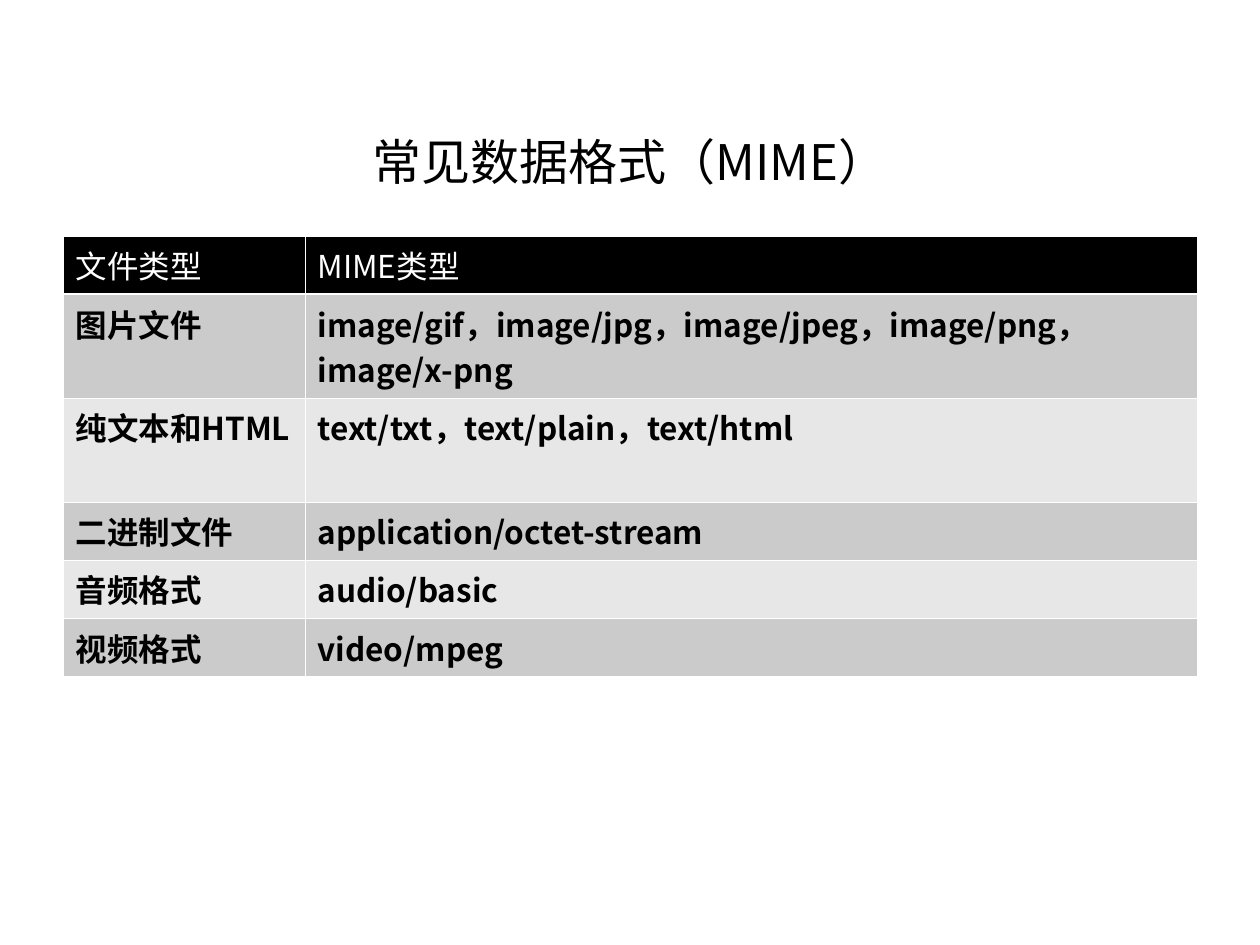
from lxml.etree import SubElement
from pptx import Presentation
from pptx.dml.color import RGBColor
from pptx.enum.text import MSO_ANCHOR, PP_ALIGN
from pptx.oxml import parse_xml
from pptx.oxml.ns import nsdecls, qn
from pptx.util import Emu, Pt

# Content
TITLE = "常见数据格式（MIME）"
ROWS = [
    ("文件类型", "MIME类型"),
    ("图片文件", "image/gif，image/jpg，image/jpeg，image/png，image/x-png"),
    ("纯文本和HTML", "text/txt，text/plain，text/html"),
    ("二进制文件", "application/octet-stream"),
    ("音频格式", "audio/basic"),
    ("视频格式", "video/mpeg"),
]

# Look
FONT = "Noto Sans CJK SC"
BLACK = RGBColor(0x00, 0x00, 0x00)
WHITE = RGBColor(0xFF, 0xFF, 0xFF)
DARK = RGBColor(0xCB, 0xCB, 0xCB)
LIGHT = RGBColor(0xE7, 0xE7, 0xE7)
THIN, THICK = 0.45, 1.47

# Layout in px
PX = 914400 // 126
LEFT, TOP = 63, 236
COLS = [242, 892]
HIGH = [58, 94, 58, 58, 58, 58]


def px(num):
    return Emu(num * PX)


def style(para, size, color, bold=False):
    for run in para.runs:
        font = run.font
        font.name, font.size, font.bold = FONT, Pt(size), bold
        font.color.rgb = color
        SubElement(font._element, qn("a:ea"), typeface=FONT)


def border(cell, row):
    """White lines on all sides, thicker below the header."""
    sides = {"L": THIN, "R": THIN,
             "T": THICK if row == 1 else THIN,
             "B": THICK if row == 0 else THIN}
    props = cell._tc.get_or_add_tcPr()
    for spot, (side, width) in enumerate(sides.items()):
        props.insert(spot, parse_xml(
            f'<a:ln{side} {nsdecls("a")} w="{Pt(width)}"><a:solidFill>'
            f'<a:srgbClr val="{WHITE}"/></a:solidFill></a:ln{side}>'))


deck = Presentation()
deck.slide_width, deck.slide_height = px(1260), px(945)
slide = deck.slides.add_slide(deck.slide_layouts[5])

# Title
title = slide.shapes.title
title.left, title.top, title.width, title.height = map(px, (63, 108, 1134, 106))
frame = title.text_frame
frame.text = TITLE
frame.vertical_anchor = MSO_ANCHOR.MIDDLE
frame.paragraphs[0].alignment = PP_ALIGN.CENTER
style(frame.paragraphs[0], 28, BLACK)

# Table
table = slide.shapes.add_table(
    len(ROWS), len(COLS), px(LEFT), px(TOP), px(sum(COLS)), px(sum(HIGH))).table
for col, width in zip(table.columns, COLS):
    col.width = px(width)
for row, (texts, high) in enumerate(zip(ROWS, HIGH)):
    table.rows[row].height = px(high)
    head = row == 0
    shade = BLACK if head else DARK if row % 2 else LIGHT
    for col, text in enumerate(texts):
        cell = table.cell(row, col)
        cell.text_frame.text = text
        style(cell.text_frame.paragraphs[0], 18, WHITE if head else BLACK, not head)
        cell.fill.solid()
        cell.fill.fore_color.rgb = shade
        border(cell, row)

deck.save("out.pptx")
